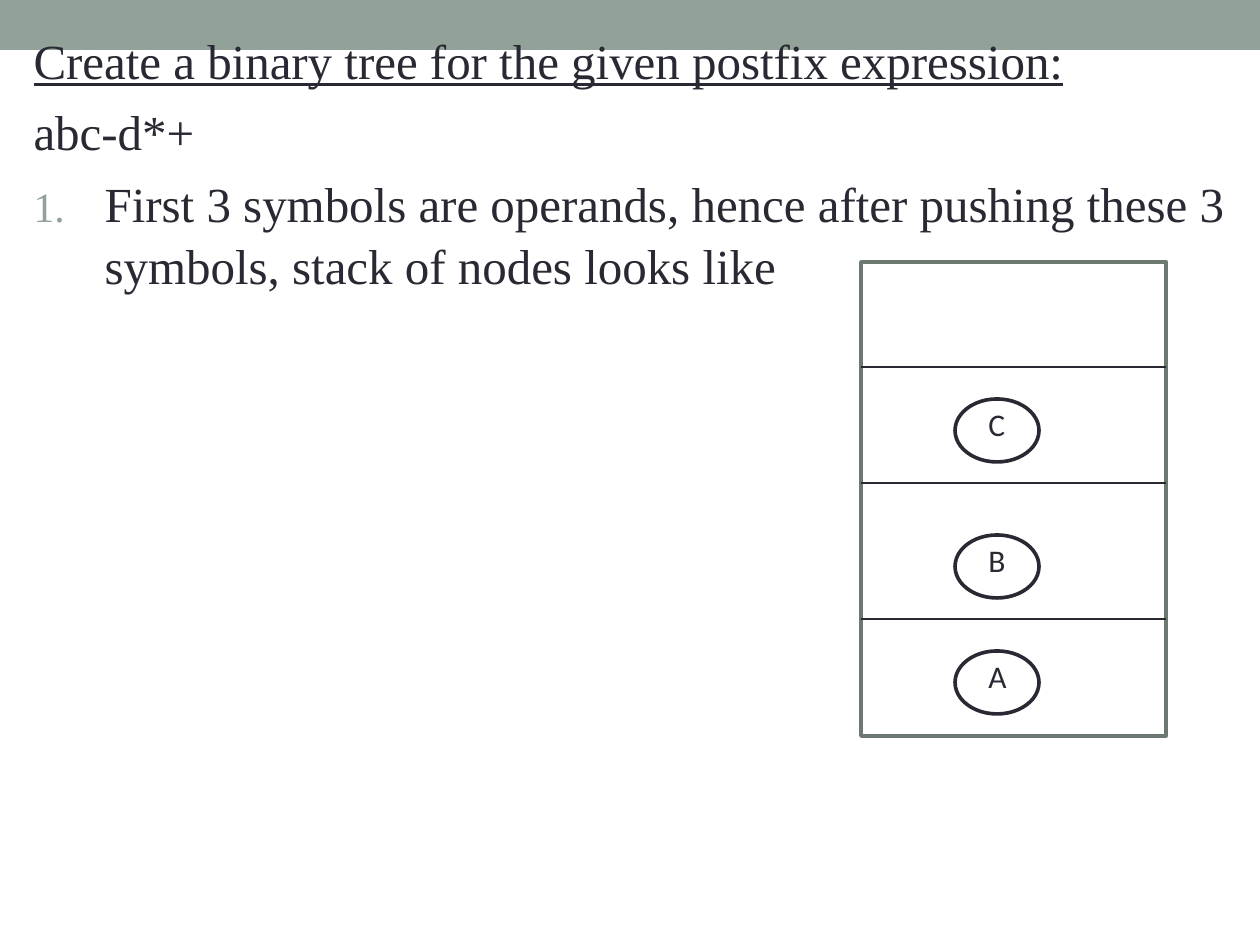
from dataclasses import dataclass

from lxml.etree import SubElement
from pptx import Presentation
from pptx.dml.color import RGBColor as Color
from pptx.enum.shapes import MSO_CONNECTOR as Connector, MSO_SHAPE as Shape
from pptx.enum.text import MSO_ANCHOR as Anchor, MSO_AUTO_SIZE as AutoSize
from pptx.oxml.ns import qn
from pptx.util import Emu, Pt

PX_PER_INCH = 126


@dataclass(frozen=True)
class Theme:
    ink: Color = Color.from_string("292934")
    accent: Color = Color.from_string("93A299")
    frame: Color = Color.from_string("6D7871")
    paper: Color = Color.from_string("FFFFFF")
    body_font: str = "Times New Roman"
    label_font: str = "Calibri"
    body_size: int = 28
    label_size: int = 18
    outline: float = 2.08
    rule: float = 0.75


THEME = Theme()


def px(length):
    return Emu(round(length * 914400 / PX_PER_INCH))


def set_format(target, values):
    for name, value in values.items():
        setattr(target, name, value)


def add_block(page, kind, box, fill, line=None):
    block = page.shapes.add_shape(kind, *map(px, box))
    block.shadow.inherit = False
    block.fill.solid()
    block.fill.fore_color.rgb = fill
    if line is None:
        block.line.fill.background()
    else:
        block.line.color.rgb = line
        block.line.width = Pt(THEME.outline)
    return block


def set_bullet(para, indent, numbered):
    props = para._p.get_or_add_pPr()
    props.set("marL", str(px(indent)))
    props.set("indent", str(-px(indent)))
    if numbered:
        color = SubElement(props, qn("a:buClr"))
        SubElement(color, qn("a:srgbClr"), val=str(THEME.accent))
        SubElement(props, qn("a:buSzPct"), val="85000")
        SubElement(props, qn("a:buFont"), typeface=THEME.body_font)
        SubElement(props, qn("a:buAutoNum"), type="arabicPeriod")
    else:
        SubElement(props, qn("a:buNone"))


def fill_body(body, box):
    """Heading, expression and first step, in the body placeholder."""
    set_format(body, dict(zip(("left", "top", "width", "height"), map(px, box))))
    frame = body.text_frame
    set_format(frame, {"word_wrap": True, "auto_size": AutoSize.NONE,
                       "vertical_anchor": Anchor.TOP})
    lines = [
        ("Create a binary tree for the given postfix expression:", 25, False, True),
        ("abc-d*+", 25, False, False),
        ("First 3 symbols are operands, hence after pushing these 3 symbols, "
         "stack of nodes looks like", 71, True, False),
    ]
    for index, (text, indent, numbered, underline) in enumerate(lines):
        para = frame.add_paragraph() if index else frame.paragraphs[0]
        set_bullet(para, indent, numbered)
        set_format(para, {"line_spacing": 1.05,
                          "space_before": Pt(5.6 if index else 0)})
        span = para.add_run()
        span.text = text
        set_format(span.font, {"name": THEME.body_font, "size": Pt(THEME.body_size),
                               "underline": underline})
        span.font.color.rgb = THEME.ink


def add_divider(page, left, top, width):
    divider = page.shapes.add_connector(
        Connector.STRAIGHT, px(left), px(top), px(left + width), px(top))
    divider.line.color.rgb = THEME.ink
    divider.line.width = Pt(THEME.rule)
    SubElement(divider._element.spPr, qn("a:effectLst"))


def add_node(page, left, top, name):
    """One operand: an ellipse with its letter in a text box."""
    add_block(page, Shape.OVAL, (left, top, 84, 63), THEME.paper, THEME.ink)
    label = page.shapes.add_textbox(*map(px, (left + 21, top, 63, 51)))
    label.text_frame.word_wrap = True
    span = label.text_frame.paragraphs[0].add_run()
    span.text = name
    set_format(span.font, {"name": THEME.label_font, "size": Pt(THEME.label_size)})
    span.font.color.rgb = THEME.ink


def add_stack(page, box):
    """Stack frame, its dividers and the pushed nodes."""
    left, top, width, _ = box
    add_block(page, Shape.RECTANGLE, box, THEME.paper, THEME.frame)
    for offset in (105, 221, 357):
        add_divider(page, left, top + offset, width)
    for name, offset in (("A", 389), ("B", 273), ("C", 137)):
        add_node(page, left + 94, top + offset, name)


def main():
    deck = Presentation()
    deck.slide_width, deck.slide_height = px(1260), px(945)
    page = deck.slides.add_slide(deck.slide_layouts[1])
    title, body = page.placeholders
    title._element.getparent().remove(title._element)

    # The band lies behind the text
    band = add_block(page, Shape.RECTANGLE, (0, 0, 1260, 50), THEME.accent)
    body._element.addprevious(band._element)
    fill_body(body, (21, 21, 1218, 892))
    add_stack(page, (861, 262, 305, 474))
    deck.save("out.pptx")


if __name__ == "__main__":
    main()
